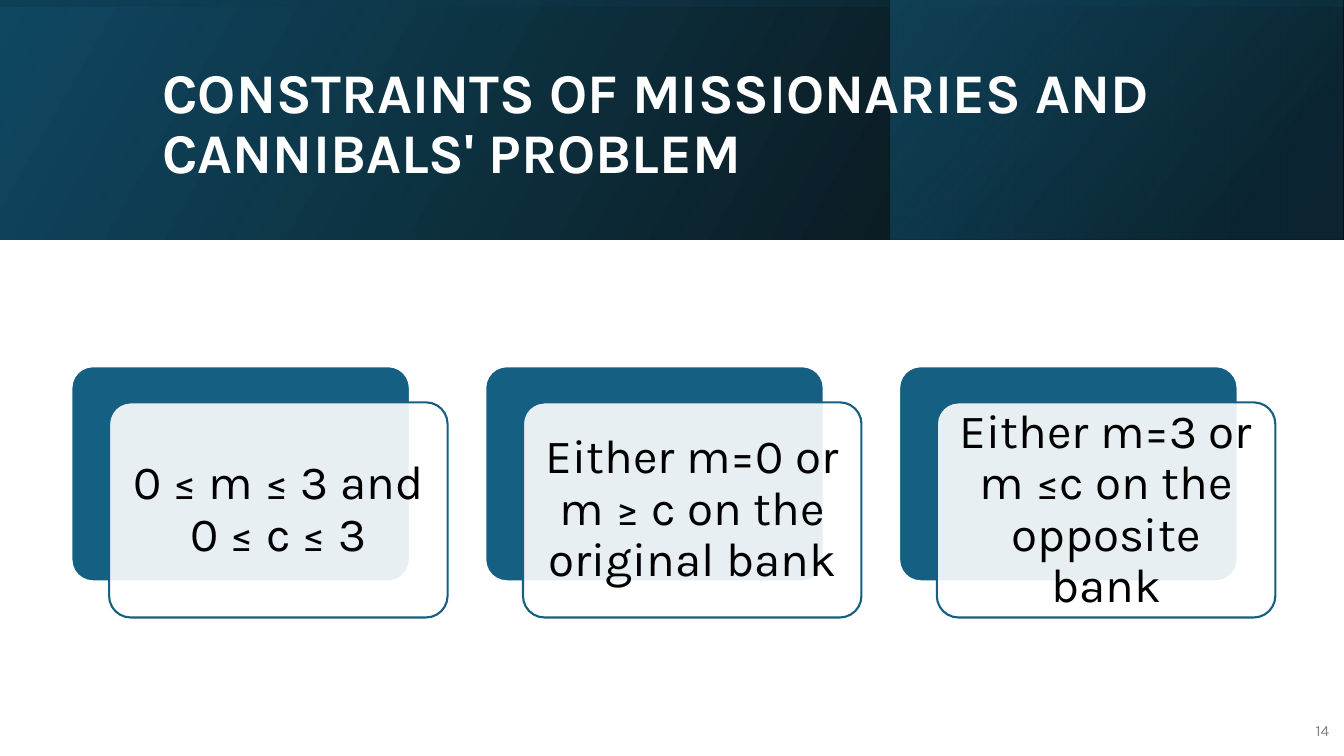
import pptx
import pptx.util
import pptx.dml.color
import pptx.enum.shapes
import pptx.enum.text
import lxml.etree
from pptx.util import Cm, Pt

RGBColor = pptx.dml.color.RGBColor
SHAPE = pptx.enum.shapes.MSO_SHAPE
ALIGN = pptx.enum.text.PP_ALIGN
MIDDLE = pptx.enum.text.MSO_ANCHOR.MIDDLE
NO_FIT = pptx.enum.text.MSO_AUTO_SIZE.NONE

BLACK = RGBColor(0x00, 0x00, 0x00)
WHITE = RGBColor(0xFF, 0xFF, 0xFF)
GREY = RGBColor(0x80, 0x80, 0x80)
BLUE = RGBColor(0x15, 0x60, 0x82)
DEEP_BLUE = RGBColor(0x10, 0x48, 0x62)
NAVY = RGBColor(0x0B, 0x30, 0x41)


def set_opacity(sp, percents):
    """Apply one opacity to each colour of the shape's fill, in order."""
    ns = pptx.oxml.ns.qn
    colors = list(sp._element.spPr.iter(ns("a:srgbClr")))
    for color, percent in zip(colors, percents):
        lxml.etree.SubElement(color, ns("a:alpha"), val=str(percent * 1000))


def add_text(tf, text, size, color, align, bold=False):
    """Write one middle-anchored Karla paragraph into the frame."""
    tf.word_wrap = True
    tf.auto_size = NO_FIT
    tf.vertical_anchor = MIDDLE
    p = tf.paragraphs[0]
    p.alignment = align
    p.line_spacing = 0.9
    r = p.add_run()
    r.text = text
    r.font.name = "Karla"
    r.font.size = Pt(size)
    r.font.bold = bold
    r.font.color.rgb = color


prs = pptx.Presentation()
prs.slide_width = Cm(33.87)
prs.slide_height = Cm(19.05)
s = prs.slides.add_slide(prs.slide_layouts[5])

# Header bands: left, width, counter-clockwise angle, (colour, position, opacity)
bands = [
    (0, 33.87, 330, [(DEEP_BLUE, 0, 100), (BLACK, 1, 96)]),
    (22.45, 11.38, 320, [(BLUE, 0, 48), (NAVY, 0.81, 68)]),
    (0, 33.87, 260, [(DEEP_BLUE, 0.23, 16), (BLACK, 0.99, 45)]),
]
for left, width, angle, stops in bands:
    sp = s.shapes.add_shape(SHAPE.RECTANGLE, Cm(left), 0, Cm(width), Cm(6.03))
    sp.shadow.inherit = False
    sp.line.fill.background()
    sp.fill.gradient()
    sp.fill.gradient_angle = angle
    for stop, (color, position, opacity) in zip(sp.fill.gradient_stops, stops):
        stop.color.rgb = color
        stop.position = position
    set_opacity(sp, [opacity for color, position, opacity in stops])

# Title, raised above the bands
title = s.shapes.title
s.shapes._spTree.append(title._element)
title.left, title.top = Cm(3.84), Cm(0.97)
title.width, title.height = Cm(27), Cm(4.37)
add_text(title.text_frame, "CONSTRAINTS OF MISSIONARIES AND CANNIBALS' PROBLEM",
         40, WHITE, ALIGN.LEFT, bold=True)

# Page number
number = s.shapes.add_textbox(Cm(32.51), Cm(17.93), Cm(1.24), Cm(1.02))
add_text(number.text_frame, "14", 11, GREY, ALIGN.RIGHT)

# Constraint cards: a solid back plate and a translucent front plate
constraints = [
    "0 ≤ m ≤ 3 and 0 ≤ c ≤ 3",
    "Either m=0 or m ≥ c on the original bank",
    "Either m=3 or m ≤c on the opposite bank",
]
for i, constraint in enumerate(constraints):
    left = 1.8 + i * 10.43
    for dx, dy, fill, line in [(0, 0, BLUE, WHITE), (0.95, 0.91, WHITE, BLUE)]:
        sp = s.shapes.add_shape(SHAPE.ROUNDED_RECTANGLE, Cm(left + dx),
                                Cm(9.23 + dy), Cm(8.53), Cm(5.42))
        sp.adjustments[0] = 0.1
        sp.shadow.inherit = False
        sp.fill.solid()
        sp.fill.fore_color.rgb = fill
        sp.line.color.rgb = line
        sp.line.width = Pt(1.5)
    # The last plate made is the front one
    set_opacity(sp, [90])
    tf = sp.text_frame
    tf.margin_left = tf.margin_right = Cm(0.36)
    tf.margin_top = tf.margin_bottom = Cm(0.36)
    add_text(tf, constraint, 34, BLACK, ALIGN.CENTER)

prs.save("out.pptx")
